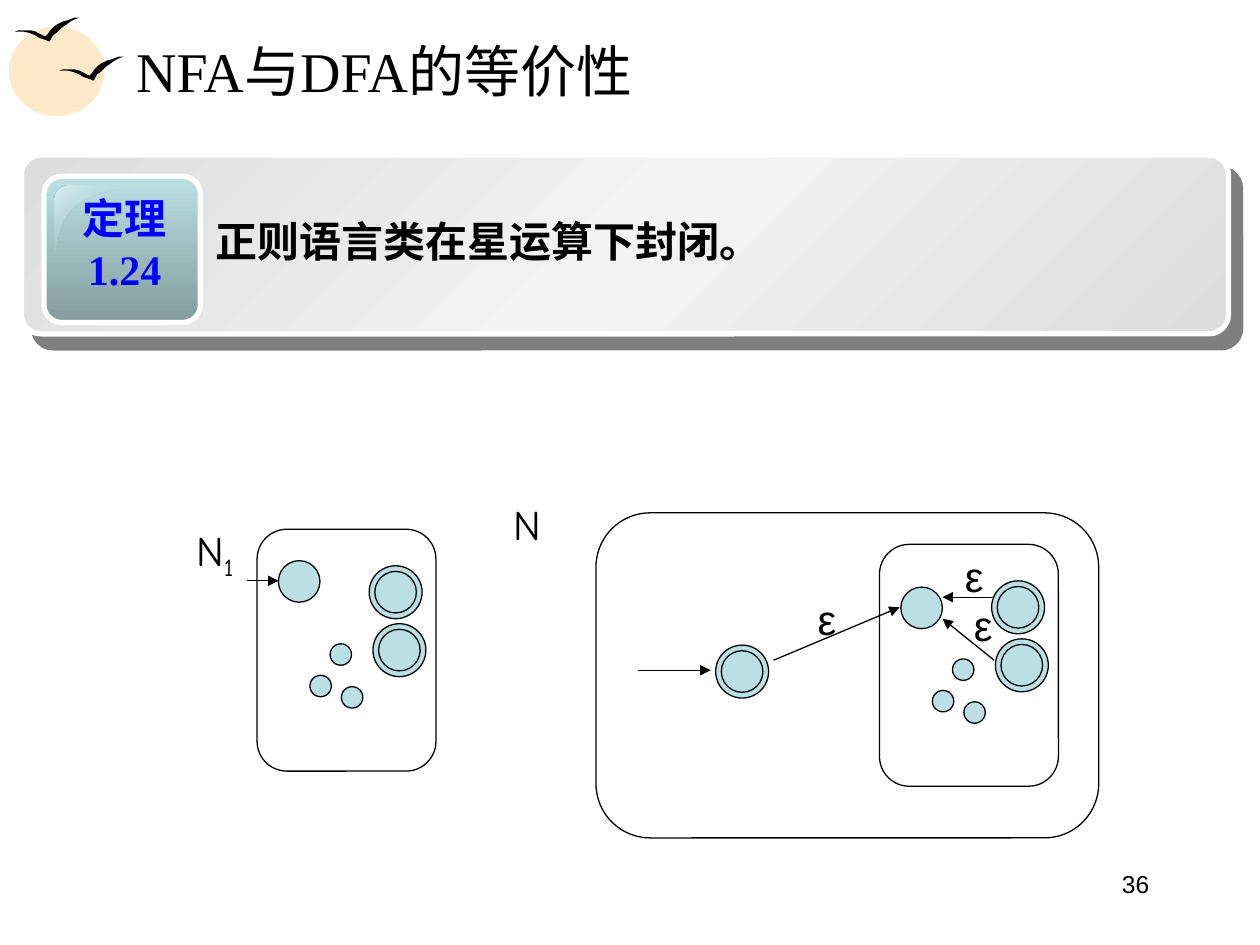
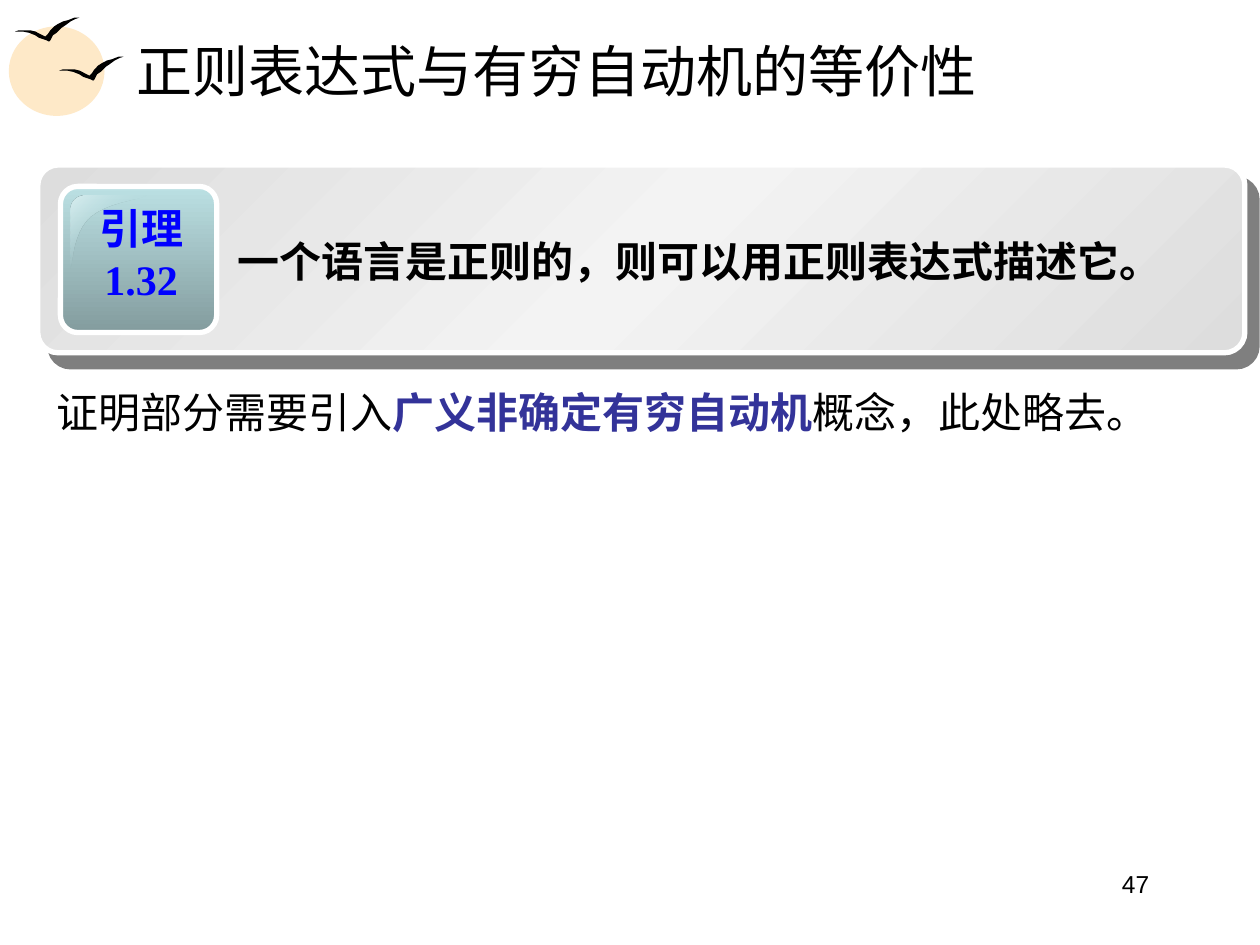
from dataclasses import dataclass

import lxml.etree
import pptx
import pptx.dml.color
import pptx.enum.shapes
import pptx.enum.text
import pptx.oxml
import pptx.oxml.ns
import pptx.util

Inches = pptx.util.Inches
Pt = pptx.util.Pt
Kind = pptx.enum.shapes.MSO_SHAPE
Align = pptx.enum.text.PP_ALIGN
Point = tuple[float, float]
qn = pptx.oxml.ns.qn


# Theme: colours, fonts and type sizes
@dataclass(frozen=True)
class Theme:
    ink: str = "000000"
    white: str = "FFFFFF"
    sun: str = "FEE9C8"
    state: str = "BBE0E3"
    shade: str = "839C9E"
    gloss: str = "DAEEF0"
    card: str = "DDDDDD"
    light: str = "F3F3F3"
    badge: str = "0000FF"
    key: str = "333399"
    serif: str = "Times New Roman"
    sans: str = "Arial"
    hand: str = "Comic Neue"
    title: int = 32
    body: int = 24
    foot: int = 14
    thin: float = 0.75
    thick: float = 3


T = Theme()


@dataclass(frozen=True)
class Box:
    x: float
    y: float
    w: float
    h: float

    def emu(self) -> tuple:
        return tuple(Inches(n) for n in (self.x, self.y, self.w, self.h))


@dataclass(frozen=True)
class Span:
    text: str
    font: str = T.serif
    size: int = T.body
    color: str = T.ink
    bold: bool = False
    base: int = 0


@dataclass(frozen=True)
class Card:
    box: Box
    label: tuple[str, str]
    claim: list[Span]
    text: Box


@dataclass(frozen=True)
class Arrow:
    start: Point
    end: Point


# Basic drawing
def rgb(color: str) -> pptx.dml.color.RGBColor:
    return pptx.dml.color.RGBColor.from_string(color)


def style(shape, fill: str | None = None, line: str | None = None,
          width: float = T.thin):
    shape.shadow.inherit = False
    if fill:
        shape.fill.solid()
        shape.fill.fore_color.rgb = rgb(fill)
    else:
        shape.fill.background()
    if line:
        shape.line.color.rgb = rgb(line)
        shape.line.width = Pt(width)
    else:
        shape.line.fill.background()
    return shape


def blend(shape, stops: list[tuple], angle: int) -> None:
    """Swap the empty fill for a gradient of (place, colour, alpha) stops."""
    grad = pptx.oxml.parse_xml(f'<a:gradFill {pptx.oxml.ns.nsdecls("a")}/>')
    items = lxml.etree.SubElement(grad, qn("a:gsLst"))
    for place, color, alpha in stops:
        stop = lxml.etree.SubElement(items, qn("a:gs"), pos=str(place * 1000))
        tone = lxml.etree.SubElement(stop, qn("a:srgbClr"), val=color)
        if alpha < 100:
            lxml.etree.SubElement(tone, qn("a:alpha"), val=str(alpha * 1000))
    lxml.etree.SubElement(grad, qn("a:lin"), ang=str(angle * 60000), scaled="0")
    props = shape._element.spPr
    props.replace(props.find(qn("a:noFill")), grad)


def drop(shape) -> None:
    """Cast a hard, half-clear shadow to the lower right."""
    effects = shape._element.spPr.find(qn("a:effectLst"))
    cast = lxml.etree.SubElement(
        effects, qn("a:outerShdw"), blurRad="0", dist=str(Pt(10.6)),
        dir=str(49 * 60000), algn="ctr", rotWithShape="0")
    tone = lxml.etree.SubElement(cast, qn("a:srgbClr"), val=T.ink)
    lxml.etree.SubElement(tone, qn("a:alpha"), val="50000")


def oval(slide, x: float, y: float, w: float, h: float, fill: str,
         line: str | None = None) -> None:
    style(slide.shapes.add_shape(Kind.OVAL, *Box(x, y, w, h).emu()), fill, line)


def panel(slide, box: Box, bend: float, line: str = T.ink,
          width: float = T.thin):
    shape = slide.shapes.add_shape(Kind.ROUNDED_RECTANGLE, *box.emu())
    shape.adjustments[0] = bend
    return style(shape, None, line, width)


def trace(slide, points: list[Point], x: float, y: float,
          fill: str | None = None):
    spots = [(Inches(x + dx), Inches(y + dy)) for dx, dy in points]
    pen = slide.shapes.build_freeform(*spots[0])
    pen.add_line_segments(spots[1:], close=True)
    return style(pen.convert_to_shape(), fill)


def curve(a: Point, b: Point, c: Point, d: Point, steps: int = 12) -> list[Point]:
    """Points along a cubic curve, ends included."""
    path = []
    for step in range(steps + 1):
        t = step / steps
        u = 1 - t
        path.append(tuple(u**3 * p + 3 * u * u * t * q + 3 * u * t * t * r + t**3 * s
                          for p, q, r, s in zip(a, b, c, d)))
    return path


def dress(run, span: Span) -> None:
    run.font.name = span.font
    run.font.size = Pt(span.size)
    run.font.bold = span.bold
    run.font.color.rgb = rgb(span.color)
    if span.base:
        run._r.get_or_add_rPr().set("baseline", str(span.base * 1000))


def write(slide, box: Box, lines: list[list[Span]], align=Align.LEFT,
          space: float | None = None) -> None:
    frame = slide.shapes.add_textbox(*box.emu()).text_frame
    frame.word_wrap = True
    for index, spans in enumerate(lines):
        para = frame.add_paragraph() if index else frame.paragraphs[0]
        para.alignment = align
        para.line_spacing = space
        for span in spans:
            run = para.add_run()
            run.text = span.text
            dress(run, span)


def point(slide, arrow: Arrow) -> None:
    ends = [Inches(n) for n in (*arrow.start, *arrow.end)]
    link = slide.shapes.add_connector(
        pptx.enum.shapes.MSO_CONNECTOR.STRAIGHT, *ends)
    link.line.color.rgb = rgb(T.ink)
    link.line.width = Pt(T.thin)
    lxml.etree.SubElement(link.line._get_or_add_ln(), qn("a:tailEnd"),
                          type="triangle")
    lxml.etree.SubElement(link._element.spPr, qn("a:effectLst"))


# Shared page: sun, birds, title and number
BIRD = [
    (0, .11), (.03, .1), (.08, .1), (.12, .1), (.16, .11), (.2, .13), (.24, .15),
    (.26, .13), (.28, .1), (.31, .07), (.34, .05), (.38, .03), (.42, .02),
    (.47, 0), (.51, 0), (.48, .01), (.44, .03), (.4, .06), (.37, .08),
    (.33, .12), (.3, .14), (.28, .18), (.27, .19), (.25, .18), (.22, .17),
    (.19, .16), (.16, .14), (.11, .12), (.06, .11), (.02, .11),
]


def page(deck, title: str, number: str):
    slide = deck.slides.add_slide(deck.slide_layouts[5])
    oval(slide, 0.07, 0.21, 0.76, 0.71, T.sun)
    for x, y in ((0.47, 0.45), (0.12, 0.14)):
        trace(slide, BIRD, x, y, T.ink)
    head = slide.shapes.title
    head.left, head.top, head.width, head.height = Box(0.98, 0.21, 8.53, 0.69).emu()
    frame = head.text_frame
    frame.text = title
    frame.auto_size = pptx.enum.text.MSO_AUTO_SIZE.NONE
    frame.vertical_anchor = pptx.enum.text.MSO_ANCHOR.MIDDLE
    frame.paragraphs[0].alignment = Align.LEFT
    dress(frame.paragraphs[0].runs[0], Span(title, size=T.title))
    write(slide, Box(6.89, 6.85, 2.33, 0.52),
          [[Span(number, T.sans, T.foot)]], Align.RIGHT)
    return slide


# Theorem card with its glossy badge
GLOSS = [
    *curve((.38, .24), (.31, .24), (.26, .29), (.26, .36)),
    *curve((.26, .82), (.28, .82), (.27, .54), (.42, .41)),
    *curve((.42, .41), (.58, .28), (.87, .27), (.86, .24)),
]


def draw_card(slide, card: Card) -> None:
    x, y = card.box.x, card.box.y
    base = panel(slide, card.box, 0.109, T.white, T.thick)
    blend(base, [(0, T.card, 100), (50, T.light, 100), (100, T.card, 100)], 45)
    drop(base)
    badge = panel(slide, Box(x + .18, y + .17, 1.24, 1.16), 0.119, T.white, T.thick)
    blend(badge, [(0, T.state, 100), (100, T.shade, 100)], 90)
    shine = trace(slide, GLOSS, x, y)
    blend(shine, [(0, T.gloss, 100), (50, T.state, 0), (100, T.gloss, 100)], 45)
    write(slide, Box(x + .35, y + .25, 0.94, 0.9),
          [[Span(part, color=T.badge, bold=True)] for part in card.label],
          Align.CENTER)
    write(slide, card.text, [card.claim], space=1.1)


# State diagram
RING, CORE, DOT = 0.42, 0.33, 0.17


def state(slide, x: float, y: float, size: float) -> None:
    oval(slide, x, y, size, size, T.state, T.ink)


def accept(slide, x: float, y: float) -> None:
    gap = (RING - CORE) / 2
    state(slide, x, y, RING)
    state(slide, x + gap, y + gap, CORE)


def machine(slide, x: float, y: float, first: float) -> None:
    """Draw the inner machine; first is the drop of its start state."""
    panel(slide, Box(x, y, 1.42, 1.92), 0.167)
    state(slide, x + .17, y + first, CORE)
    for dx, dy in ((.58, .91), (.42, 1.16), (.67, 1.25)):
        state(slide, x + dx, y + dy, DOT)
    for dx, dy in ((.89, .29), (.92, .75)):
        accept(slide, x + dx, y + dy)


def star(deck) -> None:
    slide = page(deck, "NFA与DFA的等价性", "36")
    draw_card(slide, Card(
        Box(0.17, 1.23, 9.58, 1.42), ("定理", "1.24"),
        [Span("正则语言类在星运算下封闭", T.sans, bold=True), Span("。", bold=True)],
        Box(1.61, 1.62, 8, 0.54)))
    panel(slide, Box(4.73, 4.07, 3.99, 2.58), 0.167)
    machine(slide, 2.04, 4.2, 0.25)
    machine(slide, 6.98, 4.32, 0.34)
    accept(slide, 5.68, 5.12)
    for arrow in (Arrow((1.96, 4.61), (2.21, 4.61)), Arrow((5.06, 5.32), (5.64, 5.32)),
                  Arrow((6.14, 5.24), (7.14, 4.82)), Arrow((7.89, 4.74), (7.48, 4.74)),
                  Arrow((7.89, 5.24), (7.48, 4.91))):
        point(slide, arrow)
    name = Span("N", T.hand)
    write(slide, Box(3.98, 3.91, 0.58, 0.5), [[name]])
    write(slide, Box(1.46, 4.11, 0.58, 0.56), [[name, Span("1", T.hand, base=-25)]])
    for x, y in ((7.56, 4.32), (7.63, 4.71), (6.39, 4.66)):
        write(slide, Box(x, y, 0.35, 0.5), [[Span("ε", T.sans)]])


def lemma(deck) -> None:
    slide = page(deck, "正则表达式与有穷自动机的等价性", "47")
    draw_card(slide, Card(
        Box(0.3, 1.31, 9.58, 1.49), ("引理", "1.32"),
        [Span("一个语言是正则的，则可以用正则表达式描述它。", bold=True)],
        Box(1.79, 1.78, 7.64, 0.54)))
    write(slide, Box(0.35, 2.96, 9.21, 0.56), [[
        Span("证明部分需要引入"),
        Span("广义非确定有穷自动机", color=T.key, bold=True),
        Span("概念，此处略去。")]], space=1.15)


def main() -> None:
    deck = pptx.Presentation()
    deck.slide_width, deck.slide_height = Inches(10), Inches(7.5)
    star(deck)
    lemma(deck)
    deck.save("out.pptx")


if __name__ == "__main__":
    main()
